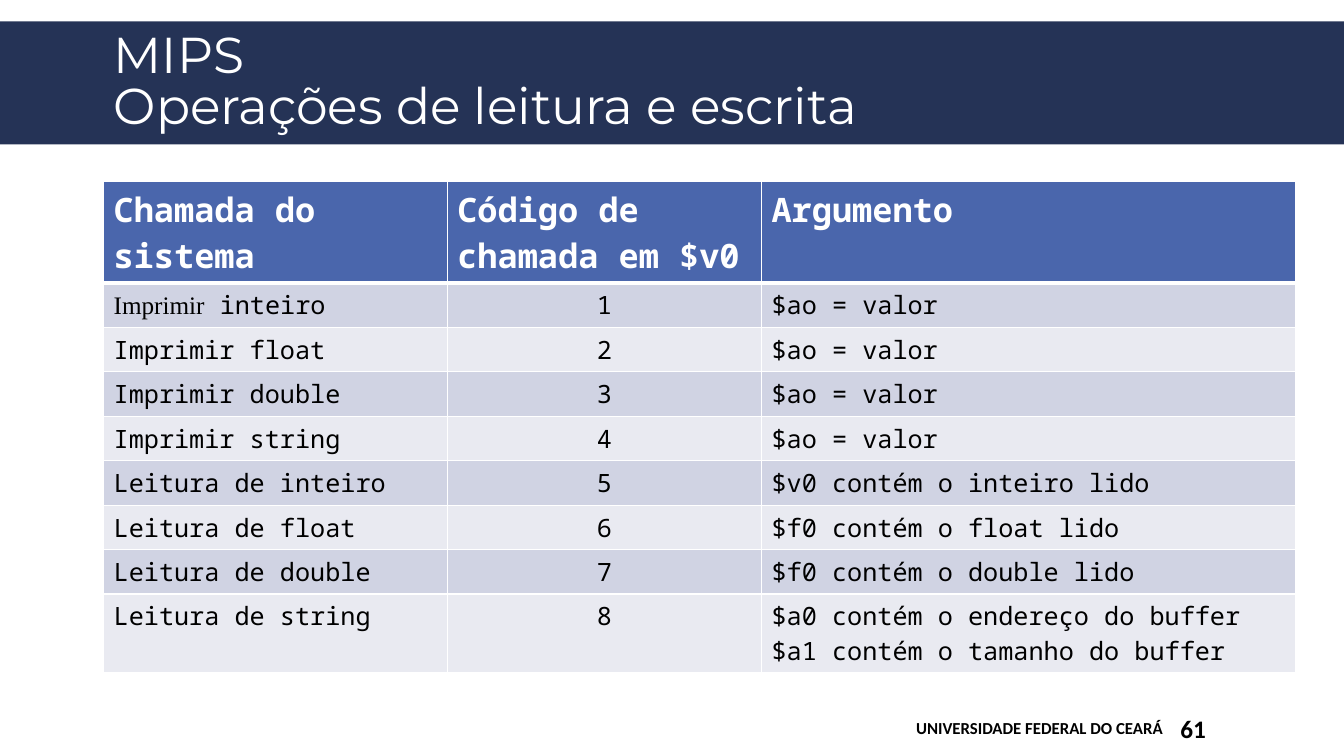
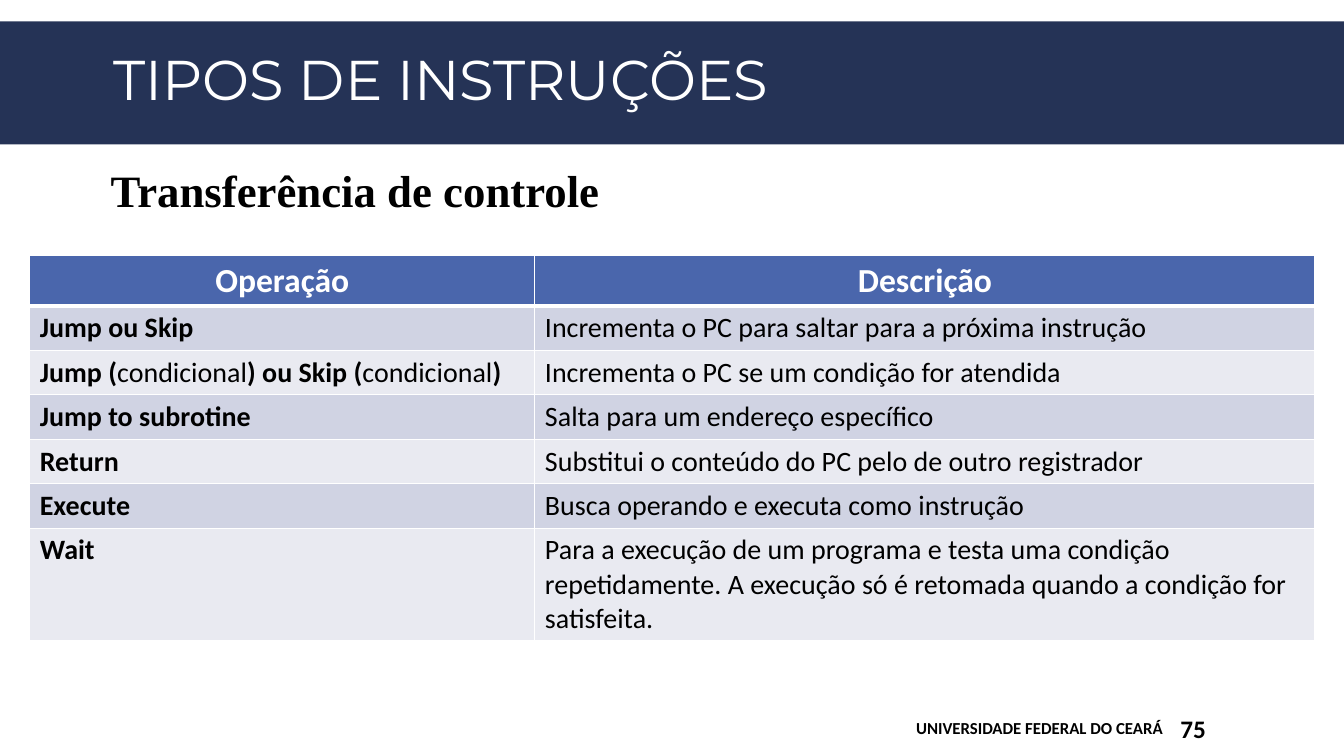
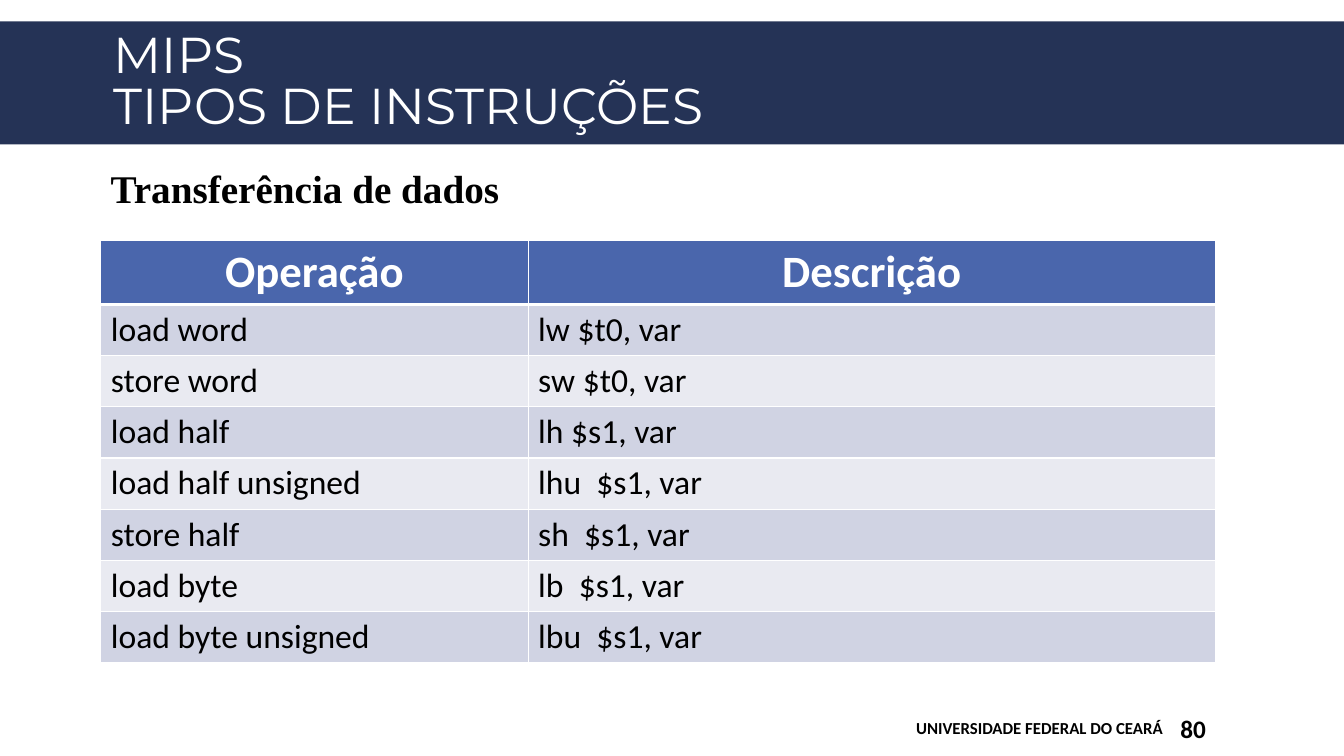
import pptx
import pptx.dml.color
import pptx.enum.shapes
import pptx.enum.text
import pptx.oxml
import pptx.oxml.ns
import pptx.util
import lxml.etree

Cm, Pt = pptx.util.Cm, pptx.util.Pt
ALIGN = pptx.enum.text.PP_ALIGN
MIDDLE = pptx.enum.text.MSO_ANCHOR.MIDDLE

# Colours, fonts and sizes
THEME = {
    "band": "253356",
    "header": "4A66AC",
    "stripes": ("D0D3E3", "E9EAF1"),
    "border": "FFFFFF",
    "title": {"name": "Montserrat", "size": 36, "bold": False, "color": "FFFFFF"},
    "subtitle": {"name": "Times New Roman", "size": 32, "bold": True, "color": "000000"},
    "university": {"name": "Calibri", "size": 12, "bold": True, "color": "000000"},
    "page": {"name": "Calibri", "size": 18, "bold": True, "color": "000000"},
    "heading": {"name": "Calibri", "size": 24, "bold": True, "color": "FFFFFF"},
    "cell": {"name": "Calibri", "size": 20, "bold": False, "color": "000000"},
}
MONO = "Noto Sans Mono"

# Content: a cell is a string, or a list of (text, format changes)
SLIDES = [
    {
        "title": "MIPS\vOperações de leitura e escrita",
        "title_size": 36,
        "page": "61",
        "table_at": (2.61, 4.57),
        "columns": (8.66, 7.92, 13.46),
        "heights": [2.56] + [1.12] * 7 + [1.97],
        "heading": {"name": MONO},
        "heading_align": ALIGN.LEFT,
        "cells": [{"name": MONO, "size": 18}] * 3,
        "cell_align": (ALIGN.LEFT, ALIGN.CENTER, ALIGN.LEFT),
        "rows": [
            ("Chamada do sistema", "Código de chamada em $v0", "Argumento"),
            ([("Imprimir", {"name": "Times New Roman"}), (" inteiro", {})], "1", "$ao = valor"),
            ("Imprimir float", "2", "$ao = valor"),
            ("Imprimir double", "3", "$ao = valor"),
            ("Imprimir string", "4", "$ao = valor"),
            ("Leitura de inteiro", "5", "$v0 contém o inteiro lido"),
            ("Leitura de float", "6", "$f0 contém o float lido"),
            ("Leitura de double", "7", "$f0 contém o double lido"),
            ("Leitura de string", "8",
             "$a0 contém o endereço do buffer\n$a1 contém o tamanho do buffer"),
        ],
    },
    {
        "title": "TIPOS DE INSTRUÇÕES",
        "title_size": 40,
        "page": "75",
        "subtitle": "Transferência de controle",
        "subtitle_size": 32,
        "table_at": (0.75, 6.43),
        "columns": (12.73, 19.66),
        "heights": [1.28] + [1.12] * 5 + [2.83],
        "heading": {},
        "heading_align": ALIGN.CENTER,
        "cells": [{"bold": True}, {}],
        "cell_align": (ALIGN.LEFT, ALIGN.LEFT),
        "rows": [
            ("Operação", "Descrição"),
            ("Jump ou Skip", "Incrementa o PC para saltar para a próxima instrução"),
            ([("Jump (", {}), ("condicional", {"bold": False}), (") ou Skip (", {}),
              ("condicional", {"bold": False}), (")", {})],
             "Incrementa o PC se um condição for atendida"),
            ("Jump to subrotine", "Salta para um endereço específico"),
            ("Return", "Substitui o conteúdo do PC pelo de outro registrador"),
            ("Execute", "Busca operando e executa como instrução"),
            ("Wait", "Para a execução de um programa e testa uma condição repetidamente. "
                     "A execução só é retomada quando a condição for satisfeita."),
        ],
    },
    {
        "title": "MIPS\vTIPOS DE INSTRUÇÕES",
        "title_size": 36,
        "page": "80",
        "subtitle": "Transferência de dados",
        "subtitle_size": 28,
        "table_at": (2.54, 6.05),
        "columns": (10.77, 17.32),
        "heights": [1.62] + [1.29] * 7,
        "heading": {"size": 32},
        "heading_align": ALIGN.CENTER,
        "cells": [{"size": 24}] * 2,
        "cell_align": (ALIGN.LEFT, ALIGN.LEFT),
        "rows": [
            ("Operação", "Descrição"),
            ("load word", "lw $t0, var"),
            ("store word", "sw $t0, var"),
            ("load half", "lh $s1, var"),
            ("load half unsigned", "lhu  $s1, var"),
            ("store half", "sh  $s1, var"),
            ("load byte", "lb  $s1, var"),
            ("load byte unsigned", "lbu  $s1, var"),
        ],
    },
]


def write(frame, content, style, align=ALIGN.LEFT, **spacing):
    """Fill a text frame; each line of a string becomes a paragraph."""
    lines = content.split("\n") if isinstance(content, str) else [content]
    for number, line in enumerate(lines):
        paragraph = frame.add_paragraph() if number else frame.paragraphs[0]
        paragraph.alignment = align
        for attribute, value in spacing.items():
            setattr(paragraph, attribute, value)
        for text, changes in [(line, {})] if isinstance(line, str) else line:
            look = {**style, **changes}
            for part_number, part in enumerate(text.split("\v")):
                if part_number:
                    paragraph.add_line_break()
                run = paragraph.add_run()
                run.text = part
                for attribute, value in (("name", look["name"]), ("size", Pt(look["size"])),
                                         ("bold", look["bold"])):
                    setattr(run.font, attribute, value)
                run.font.color.rgb = pptx.dml.color.RGBColor.from_string(look["color"])


def add_borders(cell, widths):
    """Draw the cell borders; widths maps a side (L, R, T, B) to points."""
    properties = cell._tc.get_or_add_tcPr()
    for side, width in widths.items():
        line = lxml.etree.SubElement(properties, pptx.oxml.ns.qn(f"a:ln{side}"), w=str(Pt(width)))
        fill = lxml.etree.SubElement(line, pptx.oxml.ns.qn("a:solidFill"))
        lxml.etree.SubElement(fill, pptx.oxml.ns.qn("a:srgbClr"), val=THEME["border"])


deck = pptx.Presentation()
deck.slide_width, deck.slide_height = Cm(33.87), Cm(19.05)

for content in SLIDES:
    slide = deck.slides.add_slide(deck.slide_layouts[6])

    # Title band
    band = slide.shapes.add_shape(pptx.enum.shapes.MSO_SHAPE.RECTANGLE,
                                  0, Cm(0.54), deck.slide_width, Cm(3.1))
    band.shadow.inherit = False
    band.fill.solid()
    band.fill.fore_color.rgb = pptx.dml.color.RGBColor.from_string(THEME["band"])
    band.line.fill.background()

    # Title, footer and subtitle
    texts = [
        ((2.62, 0.63, 28.78, 2.95), content["title"],
         {**THEME["title"], "size": content["title_size"]},
         {"line_spacing": 0.85}, {"vertical_anchor": MIDDLE}),
        ((15.54, 17.83, 14.02, 1.02), "UNIVERSIDADE FEDERAL DO CEARÁ", THEME["university"],
         {"align": ALIGN.RIGHT}, {"vertical_anchor": MIDDLE}),
        ((29.62, 17.84, 2.62, 1.02), content["page"], THEME["page"],
         {}, {"vertical_anchor": MIDDLE, "margin_left": Cm(0.13)}),
    ]
    if "subtitle" in content:
        texts.append(((2.54, 4.14, 28.78, 1.65), content["subtitle"],
                      {**THEME["subtitle"], "size": content["subtitle_size"]},
                      {"line_spacing": 0.9, "space_after": Pt(2)}, {}))
    for place, text, style, layout, frame_format in texts:
        frame = slide.shapes.add_textbox(*map(Cm, place)).text_frame
        frame.word_wrap = True
        for attribute, value in frame_format.items():
            setattr(frame, attribute, value)
        write(frame, text, style, **layout)

    # Table
    rows, columns, heights = content["rows"], content["columns"], content["heights"]
    left, top = content["table_at"]
    table = slide.shapes.add_table(len(rows), len(columns), Cm(left), Cm(top),
                                   Cm(sum(columns)), Cm(sum(heights))).table
    table.horz_banding = False
    for column, width in zip(table.columns, columns):
        column.width = Cm(width)
    for r, (row, height) in enumerate(zip(rows, heights)):
        table.rows[r].height = Cm(height)
        for c, text in enumerate(row):
            cell = table.cell(r, c)
            add_borders(cell, {"L": 1, "R": 1, "T": 3 if r == 1 else 1, "B": 1 if r else 3})
            cell.fill.solid()
            color = THEME["stripes"][(r - 1) % 2] if r else THEME["header"]
            cell.fill.fore_color.rgb = pptx.dml.color.RGBColor.from_string(color)
            if r:
                style = {**THEME["cell"], **content["cells"][c]}
                align = content["cell_align"][c]
            else:
                style = {**THEME["heading"], **content["heading"]}
                align = content["heading_align"]
            write(cell.text_frame, text, style, align)

deck.save("out.pptx")
